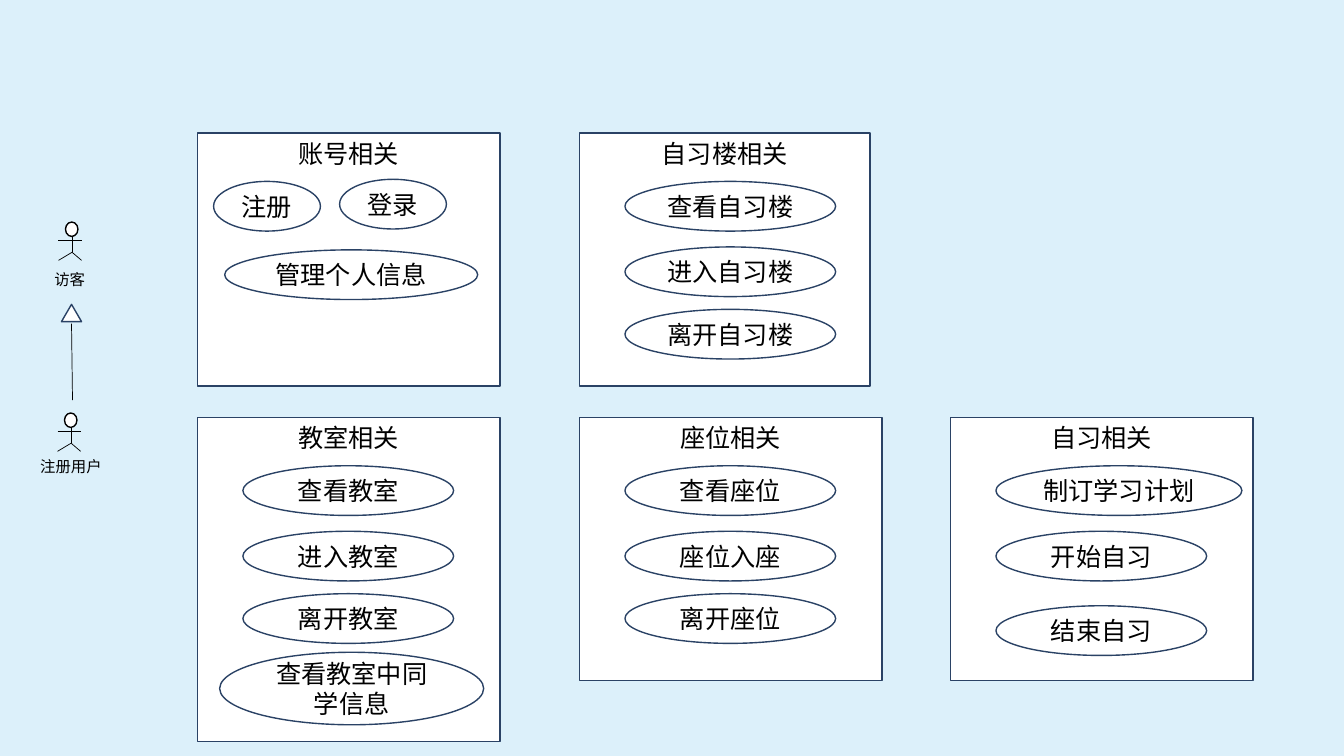
from lxml.etree import SubElement
from pptx import Presentation
from pptx.dml.color import RGBColor
from pptx.enum.shapes import MSO_CONNECTOR, MSO_SHAPE
from pptx.enum.text import MSO_ANCHOR, PP_ALIGN
from pptx.oxml.ns import qn
from pptx.util import Pt

COLORS = {"background": "DCF0FA", "paper": "FFFFFF", "outline": "2A4265", "ink": "000000"}
FONT = "Arial"
LEFT, MIDDLE, RIGHT = 141.1, 414, 679
UPPER, LOWER = 95, 298.1
FIRST, SECOND, THIRD = 34.6, 81.4, 126
INDENT, CASE_WIDTH, CASE_HEIGHT = 32.4, 150.5, 35.5

PANELS = [
    ("账号相关", LEFT, UPPER, 216, 180.7, [
        ("注册", 11.5, FIRST, 76.3, CASE_HEIGHT),
        ("登录", 101.5, 33.1, 76.3, CASE_HEIGHT),
        ("管理个人信息", 19.4, 83.5, 180.7, CASE_HEIGHT)]),
    ("自习楼相关", MIDDLE, UPPER, 207.4, 180.7, [
        ("查看自习楼", INDENT, FIRST, CASE_WIDTH, CASE_HEIGHT),
        ("进入自习楼", INDENT, SECOND, CASE_WIDTH, CASE_HEIGHT),
        ("离开自习楼", INDENT, THIRD, CASE_WIDTH, CASE_HEIGHT)]),
    ("教室相关", LEFT, LOWER, 216, 231.8, [
        ("查看教室", INDENT, FIRST, CASE_WIDTH, CASE_HEIGHT),
        ("进入教室", INDENT, SECOND, CASE_WIDTH, CASE_HEIGHT),
        ("离开教室", INDENT, THIRD, CASE_WIDTH, CASE_HEIGHT),
        ("查看教室中同学信息", 15.8, 167.8, 188.6, 51.8)]),
    ("座位相关", MIDDLE, LOWER, 216, 187.9, [
        ("查看座位", INDENT, FIRST, CASE_WIDTH, CASE_HEIGHT),
        ("座位入座", INDENT, SECOND, CASE_WIDTH, CASE_HEIGHT),
        ("离开座位", INDENT, THIRD, CASE_WIDTH, CASE_HEIGHT)]),
    ("自习相关", RIGHT, LOWER, 216, 187.9, [
        ("制订学习计划", INDENT, FIRST, 175.7, CASE_HEIGHT),
        ("开始自习", INDENT, SECOND, CASE_WIDTH, CASE_HEIGHT),
        ("结束自习", INDENT, 134.6, CASE_WIDTH, CASE_HEIGHT)]),
]


def color(name):
    return RGBColor.from_string(COLORS[name])


def write(shape, text, size, align, anchor):
    frame = shape.text_frame
    frame.word_wrap = True
    frame.vertical_anchor = anchor
    frame.text = text
    para = frame.paragraphs[0]
    para.alignment = align
    for span in para.runs:
        span.font.name = FONT
        span.font.size = Pt(size)
        span.font.color.rgb = color("ink")


def add_outline(page, kind, left, top, width, height, line="outline"):
    shape = page.shapes.add_shape(kind, Pt(left), Pt(top), Pt(width), Pt(height))
    shape.shadow.inherit = False
    shape.fill.solid()
    shape.fill.fore_color.rgb = color("paper")
    shape.line.color.rgb = color(line)
    shape.line.width = Pt(1)
    return shape


def add_line(page, x1, y1, x2, y2):
    line = page.shapes.add_connector(MSO_CONNECTOR.STRAIGHT, Pt(x1), Pt(y1), Pt(x2), Pt(y2))
    line.line.color.rgb = color("ink")
    line.line.width = Pt(0.5)
    SubElement(line._element.spPr, qn("a:effectLst"))


def add_actor(page, name, left, top, label_left, label_top, label_width):
    add_outline(page, MSO_SHAPE.OVAL, left, top, 8.9, 10.3, "ink")
    neck, hip, foot = 10.5, 21.6, 27.4
    limbs = [(-5, 13.4, 11.5, 13.4), (4.7, neck, 4.7, hip),
             (4.7, hip, -5, foot), (4.7, hip, 11.5, foot)]
    for x1, y1, x2, y2 in limbs:
        add_line(page, left + x1, top + y1, left + x2, top + y2)
    label = page.shapes.add_textbox(Pt(label_left), Pt(label_top), Pt(label_width), Pt(20.9))
    write(label, name, 11, PP_ALIGN.LEFT, MSO_ANCHOR.TOP)


def add_panel(page, title, left, top, width, height, cases):
    panel = add_outline(page, MSO_SHAPE.RECTANGLE, left, top, width, height)
    write(panel, title, 18, PP_ALIGN.CENTER, MSO_ANCHOR.TOP)
    for text, dx, dy, case_width, case_height in cases:
        case = add_outline(page, MSO_SHAPE.OVAL, left + dx, top + dy, case_width, case_height)
        write(case, text, 18, PP_ALIGN.CENTER, MSO_ANCHOR.MIDDLE)


def add_generalization(page):
    add_line(page, 51.1, 231.1, 51.8, 285.8)
    add_outline(page, MSO_SHAPE.ISOSCELES_TRIANGLE, 43.9, 217.4, 14.4, 12.4)


def main():
    deck = Presentation()
    deck.slide_width, deck.slide_height = Pt(960), Pt(540)
    page = deck.slides.add_slide(deck.slide_layouts[6])
    page.background.fill.solid()
    page.background.fill.fore_color.rgb = color("background")
    add_actor(page, "访客", 46.8, 158.6, 31.7, 189.4, 39.6)
    add_actor(page, "注册用户", 46.1, 295, 21.6, 322.6, 59.2)
    add_generalization(page)
    for panel in PANELS:
        add_panel(page, *panel)
    deck.save("out.pptx")


if __name__ == "__main__":
    main()
